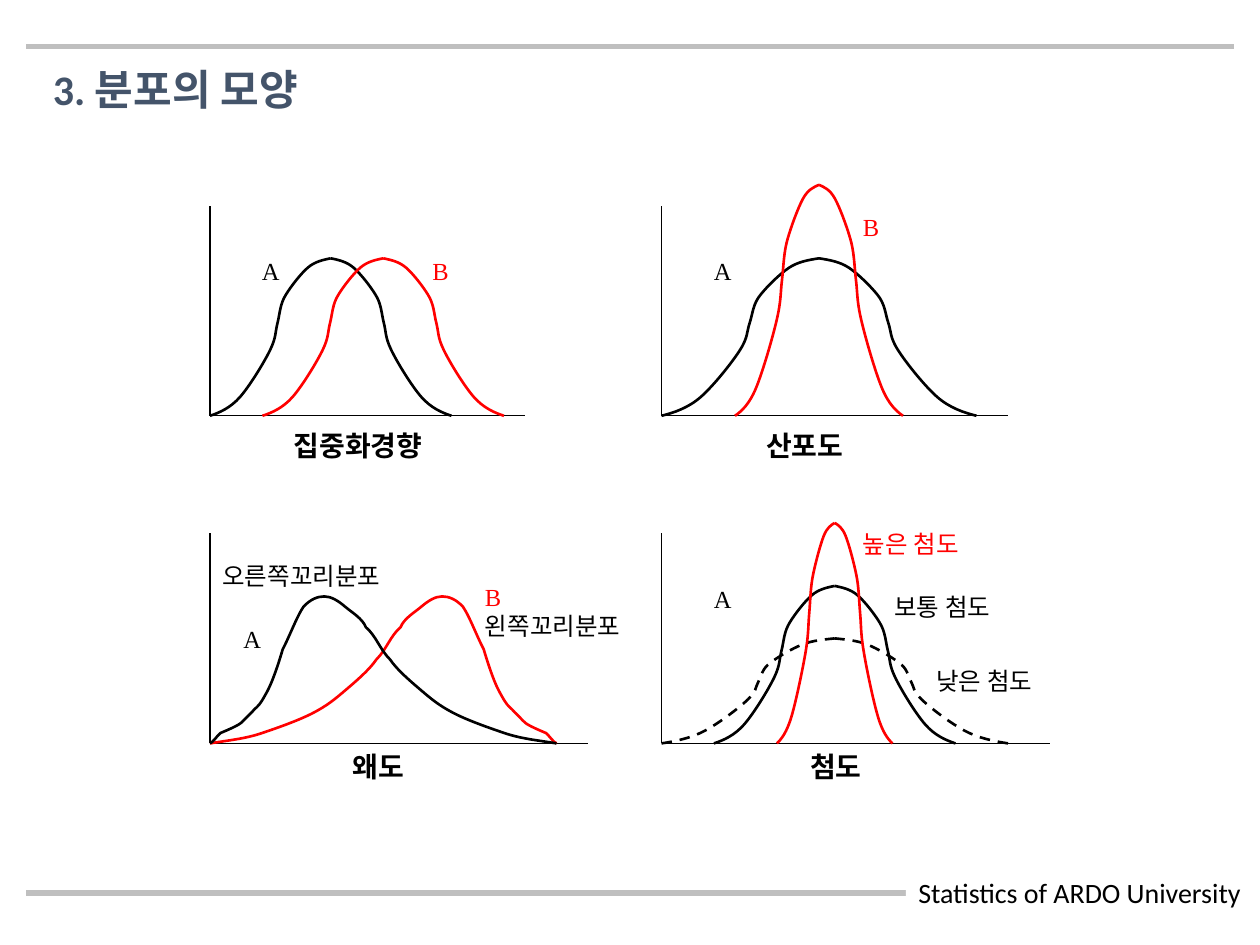
from lxml import etree
from pptx import Presentation
from pptx import util as u
from pptx.dml.color import RGBColor
from pptx.enum import dml, shapes, text
from pptx.oxml.ns import qn

BLACK = RGBColor(0x00, 0x00, 0x00)
RED = RGBColor(0xFF, 0x00, 0x00)
WHITE = RGBColor(0xFF, 0xFF, 0xFF)
GREY = RGBColor(0xBF, 0xBF, 0xBF)
SLATE = RGBColor(0x44, 0x54, 0x6A)

presentation = Presentation()
presentation.slide_width = u.Inches(10)
presentation.slide_height = u.Inches(7.5)
CELL = presentation.slide_width // 120

LEFT, RIGHT = 20, 63
UPPER, LOWER = 39.6, 70.8

HALF_BELL = [
    (0, 0), (0.08, 0.02), (0.17, 0.05), (0.25, 0.12),
    (0.33, 0.19), (0.45, 0.34), (0.5, 0.42),
    (0.55, 0.5), (0.54, 0.53), (0.56, 0.59),
    (0.58, 0.65), (0.58, 0.71), (0.63, 0.77),
    (0.67, 0.82), (0.75, 0.9), (0.81, 0.94),
    (0.87, 0.98), (0.94, 0.99), (1, 1),
]
SKEWED = [
    (0, 0), (0.05, 0.02), (0.1, 0.03), (0.15, 0.07),
    (0.2, 0.11), (0.26, 0.16), (0.3, 0.21),
    (0.34, 0.26), (0.36, 0.3), (0.39, 0.36),
    (0.42, 0.42), (0.46, 0.5), (0.48, 0.57),
    (0.51, 0.64), (0.52, 0.73), (0.55, 0.79),
    (0.56, 0.85), (0.59, 0.89), (0.61, 0.93),
    (0.63, 0.97), (0.65, 1), (0.67, 1),
    (0.69, 1), (0.71, 0.98), (0.73, 0.93),
    (0.75, 0.86), (0.77, 0.73), (0.79, 0.64),
    (0.8, 0.56), (0.81, 0.49), (0.82, 0.43),
    (0.83, 0.37), (0.84, 0.33), (0.85, 0.29),
    (0.86, 0.25), (0.87, 0.24), (0.88, 0.21),
    (0.89, 0.19), (0.9, 0.16), (0.91, 0.14),
    (0.92, 0.12), (0.95, 0.09), (0.97, 0.07),
    (0.98, 0.05), (0.99, 0.01), (1, 0),
]

slide = presentation.slides.add_slide(presentation.slide_layouts[5])


def format_text(shape, wording, size, font_name, color, bold=False):
    frame = shape.text_frame
    frame.text = wording
    frame.word_wrap = False
    frame.auto_size = text.MSO_AUTO_SIZE.NONE
    frame.vertical_anchor = text.MSO_ANCHOR.TOP
    paragraph = frame.paragraphs[0]
    paragraph.alignment = text.PP_ALIGN.LEFT
    font = paragraph.runs[0].font
    font.size = u.Pt(size)
    font.name = font_name
    font.bold = bold
    font.color.rgb = color


def draw_curve(profile, start, base, width, height, color, dashed):
    points = [(round((start + x * width) * CELL), round((base - y * height) * CELL))
              for x, y in profile]
    builder = slide.shapes.build_freeform(*points[0])
    builder.add_line_segments(points[1:], close=False)
    curve = builder.convert_to_shape()
    curve.shadow.inherit = False
    curve.fill.background()
    curve.line.color.rgb = color
    curve.line.width = u.Pt(1.5)
    if dashed:
        curve.line.dash_style = dml.MSO_LINE.DASH
    segments = curve._element.xpath(".//a:lnTo")
    for first, second, third in zip(*[iter(segments)] * 3):
        bezier = etree.Element(qn("a:cubicBezTo"))
        first.addprevious(bezier)
        for segment in (first, second, third):
            bezier.append(segment[0])
            segment.getparent().remove(segment)


LINES = [(2.5, 85.05, 117.5, 85.05, GREY, 3), (2.5, 4.45, 117.5, 4.45, GREY, 3)]
for left, base, length in [(LEFT, UPPER, 30), (RIGHT, UPPER, 33),
                           (LEFT, LOWER, 36), (RIGHT, LOWER, 37)]:
    LINES.append((left, base, left + length, base, BLACK, 0.75))
    LINES.append((left, base, left, base - 20, BLACK, 0.75))

for x1, y1, x2, y2, color, weight in LINES:
    line = slide.shapes.add_connector(
        shapes.MSO_CONNECTOR.STRAIGHT,
        *(round(value * CELL) for value in (x1, y1, x2, y2)))
    line.line.color.rgb = color
    line.line.width = u.Pt(weight)
    etree.SubElement(line._element.spPr, qn("a:effectLst"))

footer = slide.shapes.add_shape(shapes.MSO_SHAPE.RECTANGLE, u.Inches(7.19),
                                u.Inches(6.9), u.Inches(2.73), u.Inches(0.37))
footer.shadow.inherit = False
footer.fill.solid()
footer.fill.fore_color.rgb = WHITE
footer.line.fill.background()
format_text(footer, "Statistics of ARDO University", 16, "Calibri", BLACK)

title = slide.shapes.title
title.left, title.top = u.Inches(0.32), u.Inches(0.45)
title.width, title.height = u.Inches(2.3), u.Inches(0.5)
format_text(title, "3. 분포의 모양", 24, "Calibri", SLATE, True)

BELLS = [
    (LEFT, UPPER, 11.5, 15, BLACK, False),
    (25, UPPER, 11.5, 15, RED, False),
    (RIGHT, UPPER, 15, 15, BLACK, False),
    (70, UPPER, 8, 22, RED, False),
    (68, LOWER, 11.5, 15, BLACK, False),
    (RIGHT, LOWER, 16.5, 10, BLACK, True),
    (74, LOWER, 5.5, 21, RED, False),
]
for start, base, half_width, height, color, dashed in BELLS:
    draw_curve(HALF_BELL, start, base, half_width, height, color, dashed)
    draw_curve(HALF_BELL, start + 2 * half_width, base, -half_width, height, color, dashed)

draw_curve(SKEWED, LEFT, LOWER, 33, 14, RED, False)
draw_curve(SKEWED, LEFT + 33, LOWER, -33, 14, BLACK, False)

LABELS = [
    ("A", 23.75, 23.75, 4, BLACK),
    ("B", 40, 23.75, 4, RED),
    ("A", 66.8, 23.75, 4, BLACK),
    ("B", 81, 19.6, 4, RED),
    ("A", 66.8, 55, 4, BLACK),
    ("높은 첨도", 81, 49.8, 12.4, RED),
    ("낮은 첨도", 88, 62.8, 12.4, BLACK),
    ("보통 첨도", 84, 55.8, 12.4, BLACK),
    ("A", 22, 58.8, 4, BLACK),
    ("B", 45, 54.8, 4, RED),
    ("왼쪽꼬리분포", 45, 57.6, 16.4, BLACK),
    ("오른쪽꼬리분포", 20, 52.8, 18.7, BLACK),
]
CAPTIONS = [
    ("집중화경향", 26.8, 40.2, 15.6, BLACK),
    ("산포도", 71.8, 40.2, 10.3, BLACK),
    ("첨도", 76, 70.8, 7.7, BLACK),
    ("왜도", 32.4, 70.8, 7.7, BLACK),
]
for entries, size, height, bold in [(LABELS, 14, 4, False), (CAPTIONS, 16, 4.4, True)]:
    for wording, left, top, width, color in entries:
        label = slide.shapes.add_textbox(
            *(round(value * CELL) for value in (left, top, width, height)))
        format_text(label, wording, size, "Times New Roman", color, bold)

presentation.save("out.pptx")
